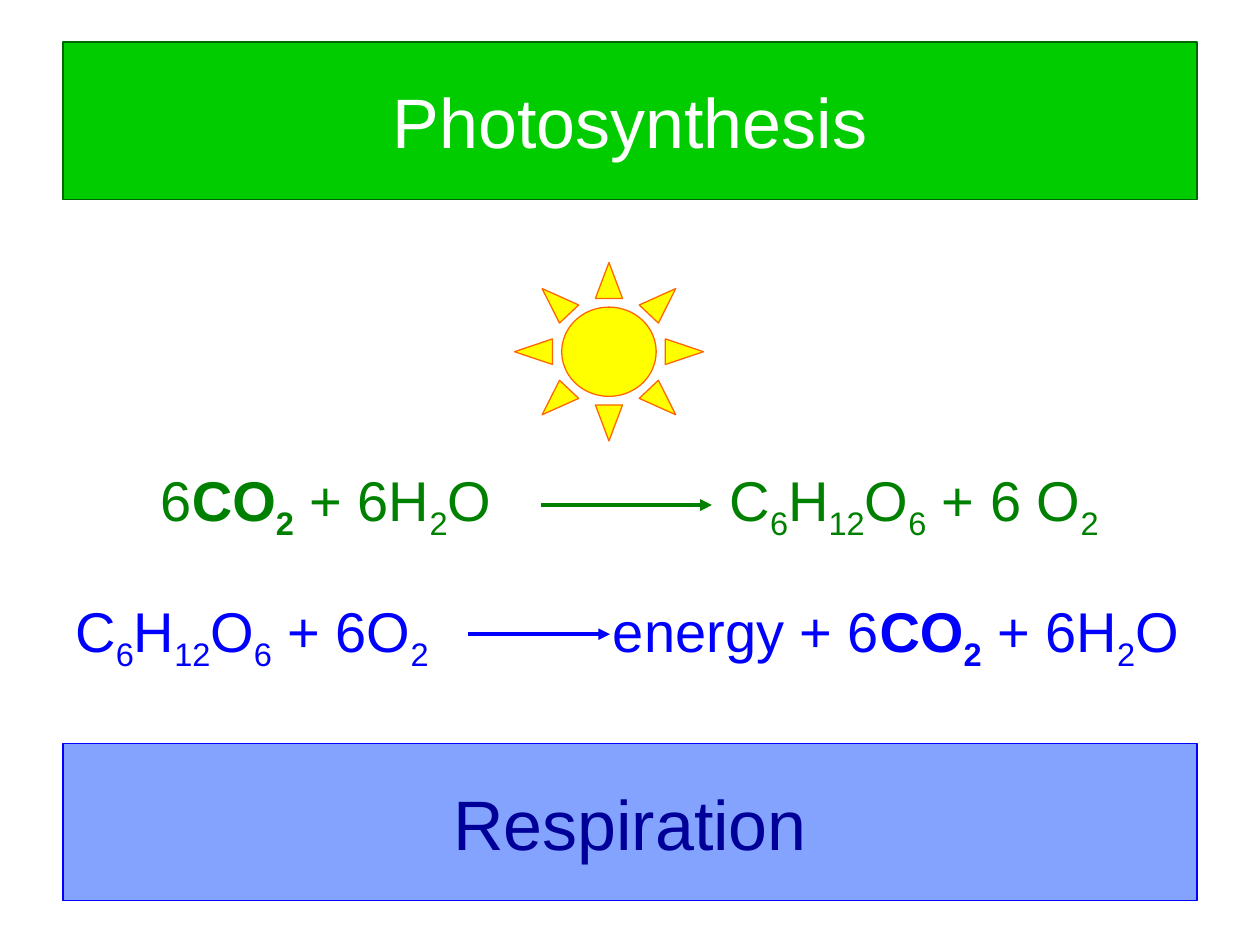
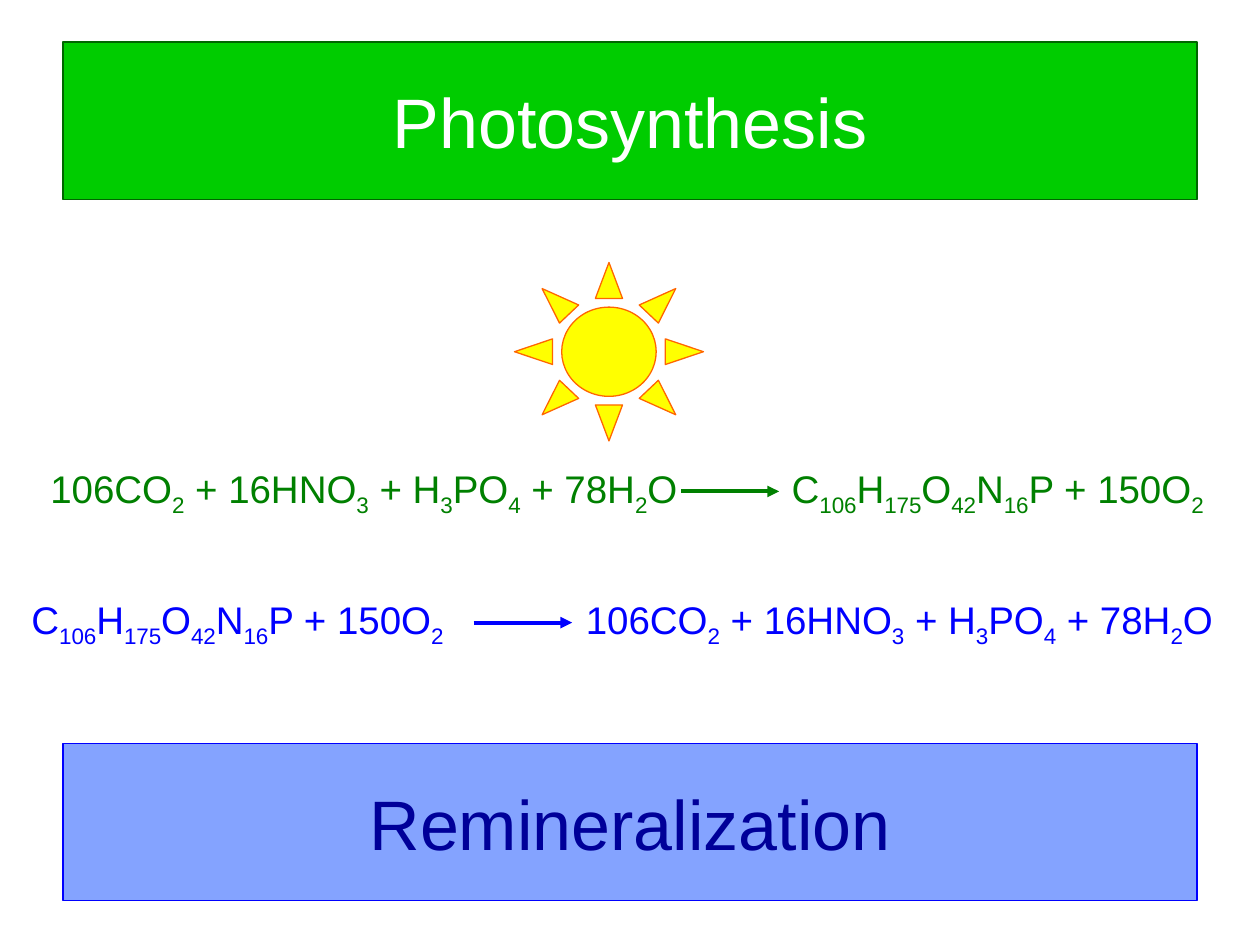
from dataclasses import dataclass

from lxml.etree import SubElement
from pptx import Presentation
from pptx.dml.color import RGBColor
from pptx.enum.shapes import MSO_CONNECTOR, MSO_SHAPE
from pptx.enum.text import MSO_ANCHOR, PP_ALIGN
from pptx.oxml import parse_xml
from pptx.oxml.ns import nsdecls, qn
from pptx.util import Inches, Pt


@dataclass(frozen=True)
class Theme:
    font: str = "Arial"
    band_size: int = 40
    thin_line: float = 0.75
    arrow_line: float = 2.25
    white: str = "FFFFFF"
    band_green: str = "00CC00"
    edge_green: str = "006600"
    text_green: str = "008000"
    band_blue: str = "3366FF"
    text_blue: str = "0000FF"
    dark_blue: str = "000099"
    sun_yellow: str = "FFFF00"
    sun_orange: str = "FF6600"


theme = Theme()
presentation = Presentation()
presentation.slide_width, presentation.slide_height = Inches(10), Inches(7.5)

# Grid of 120 columns by 90 rows
COLUMN = presentation.slide_width / 120
ROW = presentation.slide_height / 90


def place(column, row, columns, rows):
    """Turn grid units into left, top, width and height."""
    return (round(column * COLUMN), round(row * ROW),
            round(columns * COLUMN), round(rows * ROW))


def add_figure(slide, preset, area, fill, line):
    shape = slide.shapes.add_shape(preset, *place(*area))
    shape.shadow.inherit = False
    shape.fill.solid()
    shape.fill.fore_color.rgb = RGBColor.from_string(fill)
    shape.line.color.rgb = RGBColor.from_string(line)
    shape.line.width = Pt(theme.thin_line)
    return shape


# Bands: row, fill, line, text colour, opacity in percent
BANDS = [
    (4, theme.band_green, theme.edge_green, theme.white, 100),
    (70.8, theme.band_blue, theme.text_blue, theme.dark_blue, 60),
]

# Equations: _subscript_, *bold*, and a tab between the two sides.
# area is the text box; sides are the columns where each side starts;
# arrow is its first column, last column and row.
SLIDES = [
    {
        "bands": ["Photosynthesis", "Respiration"],
        "size": 32,
        "equations": [
            {"text": "6*CO_2_* + 6H_2_O\tC_6_H_12_O_6_ + 6 O_2_",
             "color": theme.text_green, "area": (10, 43.7, 99.7, 14),
             "sides": (15.3, 69.5), "arrow": (51.5, 67.8, 48.1)},
            {"text": "C_6_H_12_O_6_ + 6O_2_\tenergy + 6*CO_2_* + 6H_2_O",
             "color": theme.text_blue, "area": (6, 56.2, 109.8, 11.3),
             "sides": (7.2, 58.4), "arrow": (44.6, 58.1, 60.4)},
        ],
    },
    {
        "bands": ["Photosynthesis", "Remineralization"],
        "size": 22,
        "equations": [
            {"text": "106CO_2_ + 16HNO_3_ + H_3_PO_4_ + 78H_2_O\t"
                     "C_106_H_175_O_42_N_16_P + 150O_2_",
             "color": theme.text_green, "area": (0, 43.7, 120, 14),
             "sides": (4.8, 75.4), "arrow": (64.9, 74.2, 46.8)},
            {"text": "C_106_H_175_O_42_N_16_P + 150O_2_\t"
                     "106CO_2_ + 16HNO_3_ + H_3_PO_4_ + 78H_2_O",
             "color": theme.text_blue, "area": (0, 56.2, 120, 9.2),
             "sides": (3, 55.8), "arrow": (45.1, 54.5, 59.3)},
        ],
    },
]

for content in SLIDES:
    slide = presentation.slides.add_slide(presentation.slide_layouts[6])

    # Title bands at top and bottom
    for label, (row, fill, line, color, opacity) in zip(content["bands"], BANDS):
        band = add_figure(slide, MSO_SHAPE.RECTANGLE, (6, row, 108, 15), fill, line)
        if opacity < 100:
            fill_color = band.fill._xPr.find(qn("a:solidFill"))[0]
            SubElement(fill_color, qn("a:alpha"), val=str(opacity * 1000))
        band.text_frame.vertical_anchor = MSO_ANCHOR.MIDDLE
        paragraph = band.text_frame.paragraphs[0]
        paragraph.text = label
        paragraph.alignment = PP_ALIGN.CENTER
        paragraph.font.name = theme.font
        paragraph.font.size = Pt(theme.band_size)
        paragraph.font.color.rgb = RGBColor.from_string(color)

    # Sun
    add_figure(slide, MSO_SHAPE.SUN, (49, 25, 18, 17),
               theme.sun_yellow, theme.sun_orange)

    for equation in content["equations"]:
        color = RGBColor.from_string(equation["color"])
        left_side, right_side = equation["sides"]

        # Equation text, its right side set by a tab stop
        text_box = slide.shapes.add_textbox(*place(*equation["area"]))
        frame = text_box.text_frame
        frame.word_wrap = True
        frame.margin_left = round((left_side - equation["area"][0]) * COLUMN)
        paragraph = frame.paragraphs[0]
        paragraph.font.name = theme.font
        paragraph.font.size = Pt(content["size"])
        paragraph.font.color.rgb = color
        tab_position = round((right_side - left_side) * COLUMN)
        paragraph._p.get_or_add_pPr().insert(0, parse_xml(
            f'<a:tabLst {nsdecls("a")}><a:tab pos="{tab_position}" algn="l"/></a:tabLst>'))
        for bold_index, part in enumerate(equation["text"].split("*")):
            for sub_index, piece in enumerate(part.split("_")):
                if not piece:
                    continue
                run = paragraph.add_run()
                run.text = piece
                if bold_index % 2:
                    run.font.bold = True
                if sub_index % 2:
                    run.font._element.set("baseline", "-25000")

        # Reaction arrow
        start, end, row = equation["arrow"]
        left, top, length, _ = place(start, row, end - start, 0)
        arrow = slide.shapes.add_connector(
            MSO_CONNECTOR.STRAIGHT, left, top, left + length, top)
        arrow.line.color.rgb = color
        arrow.line.width = Pt(theme.arrow_line)
        SubElement(arrow.line._get_or_add_ln(), qn("a:tailEnd"), type="triangle")
        SubElement(arrow._element.spPr, qn("a:effectLst"))

presentation.save("out.pptx")
